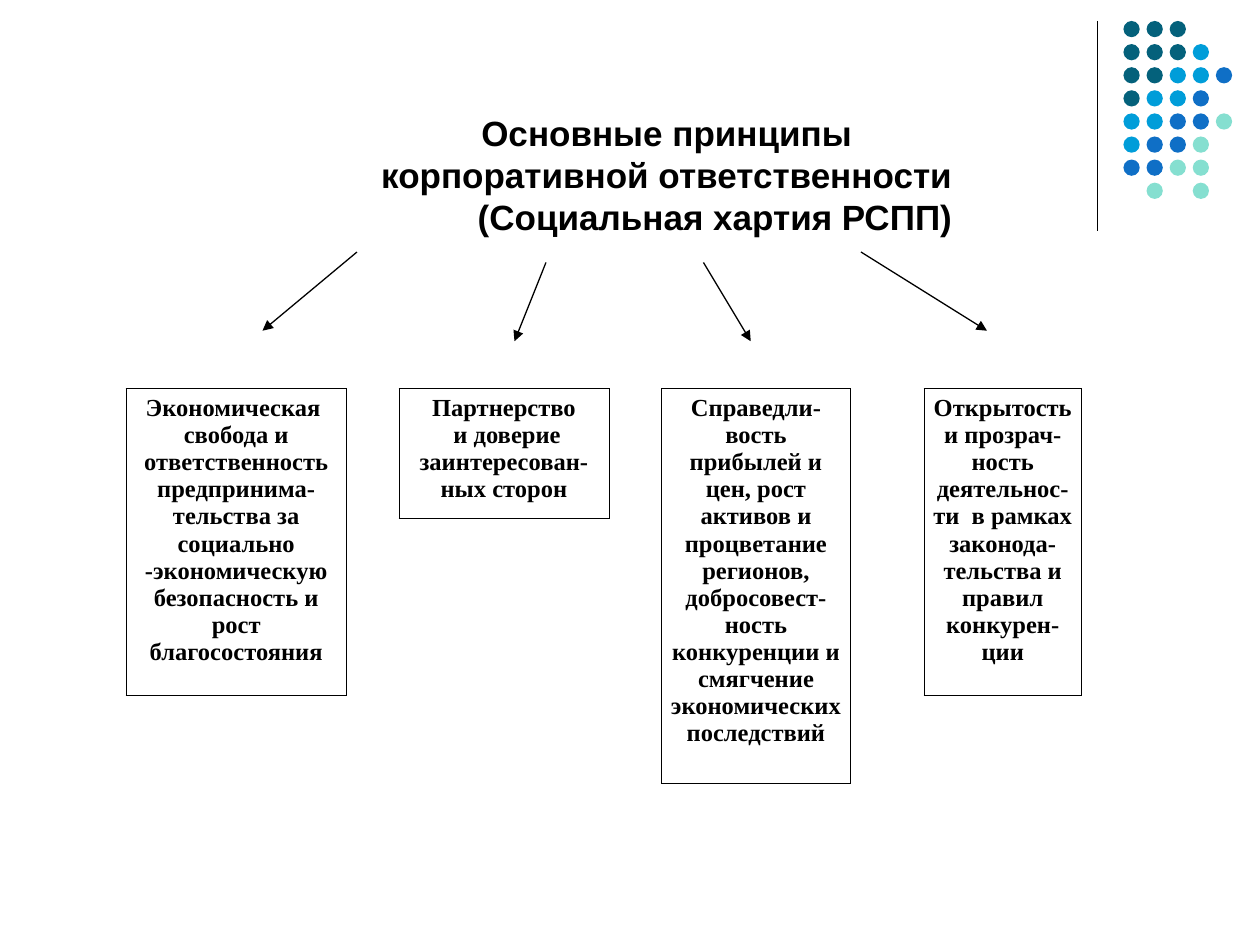
import lxml.etree
import pptx
import pptx.dml.color
import pptx.enum.shapes
import pptx.enum.text
import pptx.oxml.ns
import pptx.util

RGB = pptx.dml.color.RGBColor.from_string
Pt = pptx.util.Pt
qn = pptx.oxml.ns.qn
CENTER = pptx.enum.text.PP_ALIGN.CENTER

THEME = {
    "ink": "000000",
    "dots": {"T": "04617B", "S": "009DD9", "B": "0F6FC6", "M": "85DFD0"},
    "title": ("Arial", 20),
    "body": ("Times New Roman", 14),
    "rule": 0.75,
    "border": 0.45,
}

prs = pptx.Presentation()
prs.slide_width = pptx.util.Inches(10)
prs.slide_height = pptx.util.Inches(7.5)
UNIT = prs.slide_width / 120
s = prs.slides.add_slide(prs.slide_layouts[6])


def grid(*cells):
    return [pptx.util.Emu(round(c * UNIT)) for c in cells]


def write(tf, texts, style):
    for i, text in enumerate(texts):
        p = tf.paragraphs[0] if i == 0 else tf.add_paragraph()
        p.alignment = CENTER
        r = p.add_run()
        r.text = text
        r.font.name, size = style
        r.font.size = Pt(size)
        r.font.bold = True
        r.font.color.rgb = RGB(THEME["ink"])


DOTS = ["TTT", "TTTS", "TTSSB", "TSSB", "SSBBM", "SBBM", "BBMM", " M M"]
DOT_LEFT, DOT_TOP, DOT_PITCH, DOT_SIZE = 107, 2, 2.2, 1.55
group = s.shapes.add_group_shape()
for row, line in enumerate(DOTS):
    for col, key in enumerate(line):
        if key == " ":
            continue
        sp = group.shapes.add_shape(
            pptx.enum.shapes.MSO_SHAPE.OVAL,
            *grid(DOT_LEFT + col * DOT_PITCH, DOT_TOP + row * DOT_PITCH, DOT_SIZE, DOT_SIZE))
        sp.shadow.inherit = False
        sp.fill.solid()
        sp.fill.fore_color.rgb = RGB(THEME["dots"][key])
        sp.line.fill.background()

LINES = [
    (104.5, 2, 104.5, 22, False),
    (34, 24, 25, 31.5, True),
    (52, 25, 49, 32.5, True),
    (67, 25, 71.5, 32.5, True),
    (82, 24, 94, 31.5, True),
]
for *ends, arrow in LINES:
    c = s.shapes.add_connector(pptx.enum.shapes.MSO_CONNECTOR.STRAIGHT, *grid(*ends))
    c.line.width = Pt(THEME["rule"])
    c.line.color.rgb = RGB(THEME["ink"])
    if arrow:
        lxml.etree.SubElement(c.line._get_or_add_ln(), qn("a:tailEnd"), type="triangle")
    lxml.etree.SubElement(c._element.spPr, qn("a:effectLst"))

title = s.shapes.add_textbox(*grid(33, 10, 61, 17.25))
tf = title.text_frame
tf.word_wrap = True
write(tf, ["Основные принципы корпоративной ответственности",
           "(Социальная хартия РСПП)"], THEME["title"])
tf.paragraphs[1]._p.get_or_add_pPr().set("marL", str(grid(9.2)[0]))

PRINCIPLES = [
    (12, 21, [29.25], ["Экономическая  свобода и ответственность предпринима-",
                       "тельства за социально -экономическую безопасность и рост благосостояния"]),
    (38, 20, [12.35, 2.3], ["Партнерство", " и доверие заинтересован-ных сторон"]),
    (63, 18, [37.65], ["Справедли-вость прибылей и цен, рост активов и процветание регионов, "
                       "добросовест-ность конкуренции и смягчение экономических последствий"]),
    (88, 15, [29.25, 6.6], ["Открытость и прозрач-",
                            "ность деятельнос-ти  в рамках законода-тельства и правил конкурен-ции"]),
]
for left, width, heights, texts in PRINCIPLES:
    table = s.shapes.add_table(len(heights), 1, *grid(left, 37, width, sum(heights))).table
    table.first_row = False
    table.horz_banding = False
    for row, height in enumerate(grid(*heights)):
        table.rows[row].height = height
        cell = table.cell(row, 0)
        cell.fill.background()
        cell.margin_left = cell.margin_right = Pt(5)
        cell.margin_top = cell.margin_bottom = Pt(3.6)
        tcPr = cell._tc.get_or_add_tcPr()
        for i, side in enumerate(("a:lnL", "a:lnR", "a:lnT", "a:lnB")):
            ln = lxml.etree.Element(qn(side), w=str(int(Pt(THEME["border"]))))
            if row == 0 or side == "a:lnT":
                fill = lxml.etree.SubElement(ln, qn("a:solidFill"))
                lxml.etree.SubElement(fill, qn("a:srgbClr"), val=THEME["ink"])
            else:
                lxml.etree.SubElement(ln, qn("a:noFill"))
            tcPr.insert(i, ln)
    write(table.cell(0, 0).text_frame, texts, THEME["body"])

prs.save("out.pptx")
